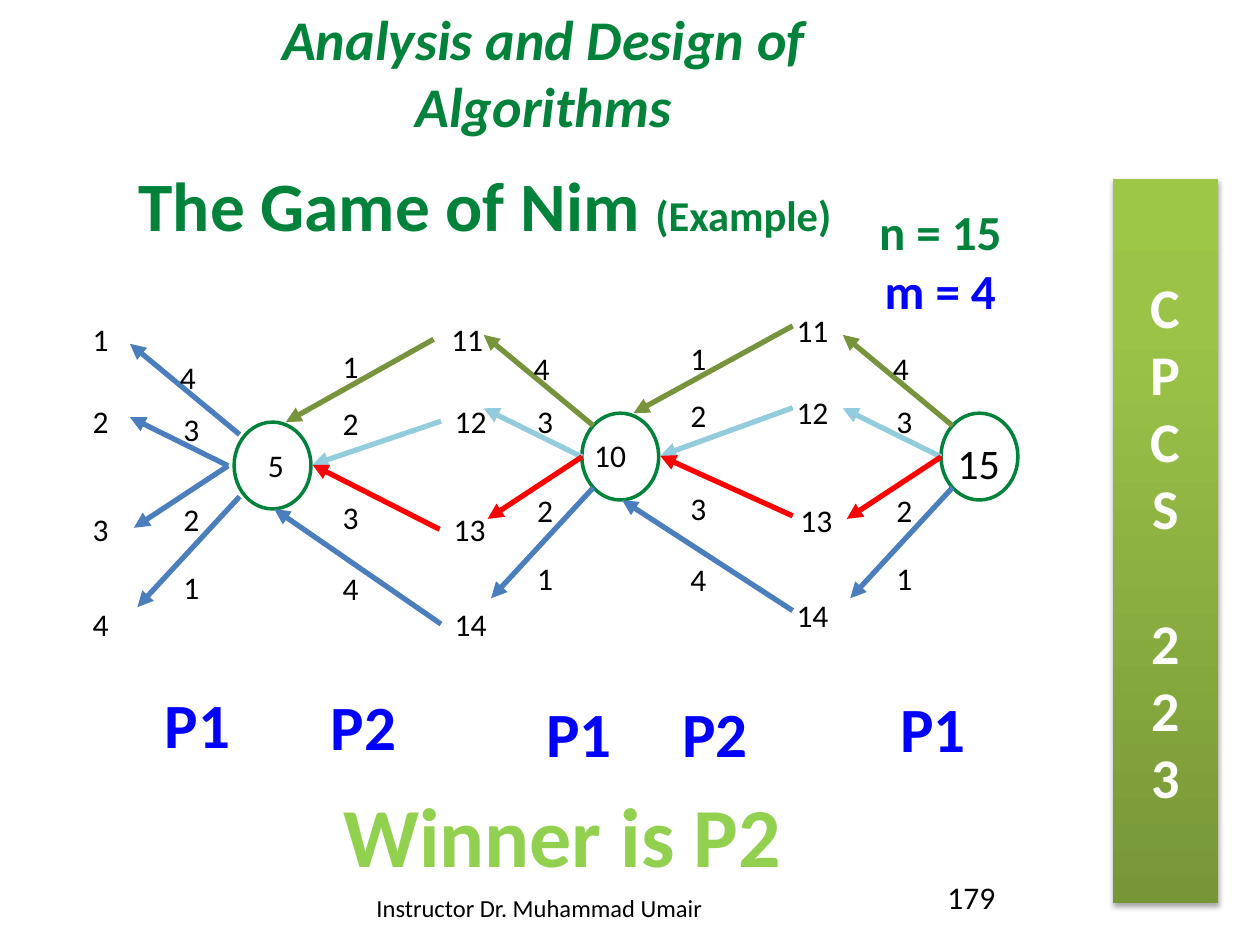
from copy import deepcopy

from lxml.etree import SubElement
from pptx import Presentation
from pptx.dml.color import RGBColor
from pptx.enum.shapes import MSO_CONNECTOR, MSO_SHAPE
from pptx.enum.text import MSO_ANCHOR, PP_ALIGN
from pptx.oxml.ns import qn
from pptx.util import Cm, Pt

GREEN, BLUE, LIME, BLACK = "00823B", "0000FF", "92D050", "000000"
OLIVE, SKY, RED, STEEL = "77933C", "93CDDD", "FF0000", "4B7EBC"
BRANCH_COLORS = (OLIVE, SKY, RED, STEEL)

# Heap positions in cm; branch offsets are measured from a heap's top left.
HEAP_WIDTH, HEAP_HEIGHT = 1.55, 1.75
HEAP_5, HEAP_10, HEAP_15 = (4.72, 8.51), (11.73, 8.33), (18.97, 8.33)
PILE_TOPS = (-2.18, -0.53, 1.65, 3.56)

# Taken count, arrow start, arrow end, label position
P1_BRANCHES = (
    ("4", (0.23, 0.25), (-1.98, -1.58), (-1.37, -1.42)),
    ("3", (0, 0.88), (-1.98, -0.1), (-1.3, -0.36)),
    ("2", (0, 0.88), (-1.9, 2.13), (-1.3, 1.45)),
    ("1", (0.23, 1.5), (-1.83, 3.73), (-1.3, 2.82)),
)
# Taken count, arrow end, label top
P2_BRANCHES = (
    ("1", (1.04, 0), -1.63),
    ("2", (1.58, 0.86), -0.48),
    ("3", (1.58, 0.86), 1.4),
    ("4", (0.81, 1.75), 2.84),
)


def rgb(hex_color):
    return RGBColor.from_string(hex_color)


def write(frame, text, size=18, color=BLACK, bold=False, italic=False,
          align=PP_ALIGN.LEFT, new_paragraph=False):
    """Add a run to the frame's last paragraph, or to a new one."""
    paragraph = frame.add_paragraph() if new_paragraph else frame.paragraphs[-1]
    paragraph.alignment = align
    run = paragraph.add_run()
    run.text = text
    font = run.font
    font.name, font.size = "Calibri", Pt(size)
    font.bold, font.italic = bold, italic
    font.color.rgb = rgb(color)


def add_text(slide, left, top, width, height, text, **style):
    frame = slide.shapes.add_textbox(
        Cm(left), Cm(top), Cm(width), Cm(height)).text_frame
    frame.word_wrap = True
    write(frame, text, **style)
    return frame


def add_number(slide, left, top, number, width=1.12):
    add_text(slide, left, top, width, 0.86, number, align=PP_ALIGN.CENTER)


def add_pile(slide, center, top, number):
    add_number(slide, center - 0.7, top, number, width=1.4)


def add_arrow(slide, start, end, color):
    arrow = slide.shapes.add_connector(
        MSO_CONNECTOR.STRAIGHT, *(Cm(value) for value in (*start, *end)))
    arrow.line.color.rgb = rgb(color)
    arrow.line.width = Pt(3)
    SubElement(arrow.line._get_or_add_ln(), qn("a:tailEnd"), type="triangle")
    SubElement(arrow._element.spPr, qn("a:effectLst"))


def add_heap(slide, heap, number, text_offset, size=18):
    left, top = heap
    circle = slide.shapes.add_shape(
        MSO_SHAPE.OVAL, Cm(left), Cm(top), Cm(HEAP_WIDTH), Cm(HEAP_HEIGHT))
    circle.shadow.inherit = False
    circle.fill.background()
    circle.line.color.rgb = rgb(GREEN)
    circle.line.width = Pt(2)
    dx, dy = text_offset
    add_text(slide, left + dx, top + dy, 1.45, 1, number, size=size)


def add_p1_moves(slide, left, top, colors=BRANCH_COLORS):
    """Draw the four moves that lead left out of a heap."""
    order = (colors[0], colors[1], colors[2], colors[3])
    for (taken, start, end, label), color in zip(P1_BRANCHES, order):
        (x1, y1), (x2, y2) = start, end
        add_arrow(slide, (left + x1, top + y1), (left + x2, top + y2), color)
        add_number(slide, left + label[0], top + label[1], taken)


def add_p2_moves(slide, heap, starts, pile_centers, start_drop):
    """Draw the piles 11 to 14 and the moves from them into a heap."""
    left, top = heap
    rows = zip(P2_BRANCHES, BRANCH_COLORS, PILE_TOPS, starts, pile_centers)
    for pile, (branch, color, pile_top, start, center) in enumerate(rows, 11):
        taken, (end_x, end_y), label_top = branch
        pile_y = top + pile_top
        add_arrow(slide, (start, pile_y + start_drop),
                  (left + end_x, top + end_y), color)
        add_number(slide, left + 1.79, top + label_top, taken)
        add_pile(slide, center, pile_y, str(pile))


def add_course_bar(slide):
    bar = slide.shapes.add_shape(
        MSO_SHAPE.RECTANGLE, Cm(22.43), Cm(3.61), Cm(2.13), Cm(14.6))
    bar.line.fill.background()
    bar.fill.gradient()
    bar.fill.gradient_angle = 90
    properties = bar._element.spPr
    stop_list = properties.find(".//" + qn("a:gsLst"))
    stop_list.append(deepcopy(stop_list[-1]))
    shades = ((0, "779737"), (0.8, "9BC348"), (1, "9DC746"))
    for stop, (position, color) in zip(bar.fill.gradient_stops, shades):
        stop.position = position
        stop.color.rgb = rgb(color)

    bar.shadow.inherit = False
    shadow = SubElement(
        properties.find(qn("a:effectLst")), qn("a:outerShdw"),
        blurRad=str(Pt(3.1)), dist=str(Pt(1.8)), dir="5400000", rotWithShape="0")
    shade = SubElement(shadow, qn("a:srgbClr"), val=BLACK)
    SubElement(shade, qn("a:alpha"), val="35000")

    frame = bar.text_frame
    frame.vertical_anchor = MSO_ANCHOR.MIDDLE
    frame._txBody.bodyPr.set("vert", "wordArtVert")
    write(frame, "CPCS 223", size=32, color="FFFFFF", bold=True,
          align=PP_ALIGN.CENTER)


def set_title(slide):
    title = slide.shapes.title
    title.left, title.top = Cm(2.54), Cm(3.38)
    title.width, title.height = Cm(17.35), Cm(1.47)
    frame = title.text_frame
    frame.vertical_anchor = MSO_ANCHOR.MIDDLE
    write(frame, "The Game of Nim ", size=39.6, color=GREEN, bold=True)
    write(frame, "(Example)", size=24.3, color=GREEN, bold=True)


def add_game(slide):
    add_heap(slide, HEAP_15, "15", (0.08, 0.36), size=24)
    add_heap(slide, HEAP_10, "10", (0, 0.33))
    add_heap(slide, HEAP_5, "5", (0.43, 0.36))

    add_p1_moves(slide, *HEAP_15)
    add_p1_moves(slide, *HEAP_10)
    add_p1_moves(slide, 4.6, HEAP_5[1], colors=(STEEL,) * 4)
    for pile, top in enumerate(PILE_TOPS, 1):
        add_pile(slide, 2.03, HEAP_5[1] + top, str(pile))

    add_p2_moves(slide, HEAP_10, starts=(15.98,) * 4,
                 pile_centers=(16.38, 16.38, 16.46, 16.38), start_drop=0.42)
    add_p2_moves(slide, HEAP_5, starts=(8.74, 8.89, 8.86, 8.89),
                 pile_centers=(9.42, 9.49, 9.47, 9.49), start_drop=0.51)


def main():
    presentation = Presentation()
    presentation.slide_width, presentation.slide_height = Cm(25.4), Cm(19.05)
    slide = presentation.slides.add_slide(presentation.slide_layouts[5])
    centered = {"bold": True, "align": PP_ALIGN.CENTER}

    add_text(slide, 7.34, 17.88, 7.24, 0.86, "Instructor Dr. Muhammad Umair",
             size=14)
    add_text(slide, 2.92, -0.03, 16.08, 3, "Analysis and Design of Algorithms",
             size=32, color=GREEN, italic=True, **centered)
    add_course_bar(slide)
    set_title(slide)
    add_text(slide, 18.85, 17.58, 1.7, 1.02, "179")

    settings = add_text(slide, 16.81, 3.94, 4.29, 2.64, "n = 15",
                        size=28, color=GREEN, **centered)
    write(settings, "m = 4", size=28, color=BLUE, new_paragraph=True, **centered)

    add_game(slide)

    turns = (("P1", 2.95, 13.69), ("P2", 6.3, 13.74), ("P1", 10.64, 13.87),
             ("P2", 13.39, 13.87), ("P1", 17.78, 13.77))
    for player, left, top in turns:
        add_text(slide, left, top, 2.06, 1.8, player, size=36, color=BLUE,
                 **centered)
    add_text(slide, 4.45, 15.67, 13.77, 2.31, "Winner is P2", size=48,
             color=LIME, **centered)
    presentation.save("out.pptx")


if __name__ == "__main__":
    main()
